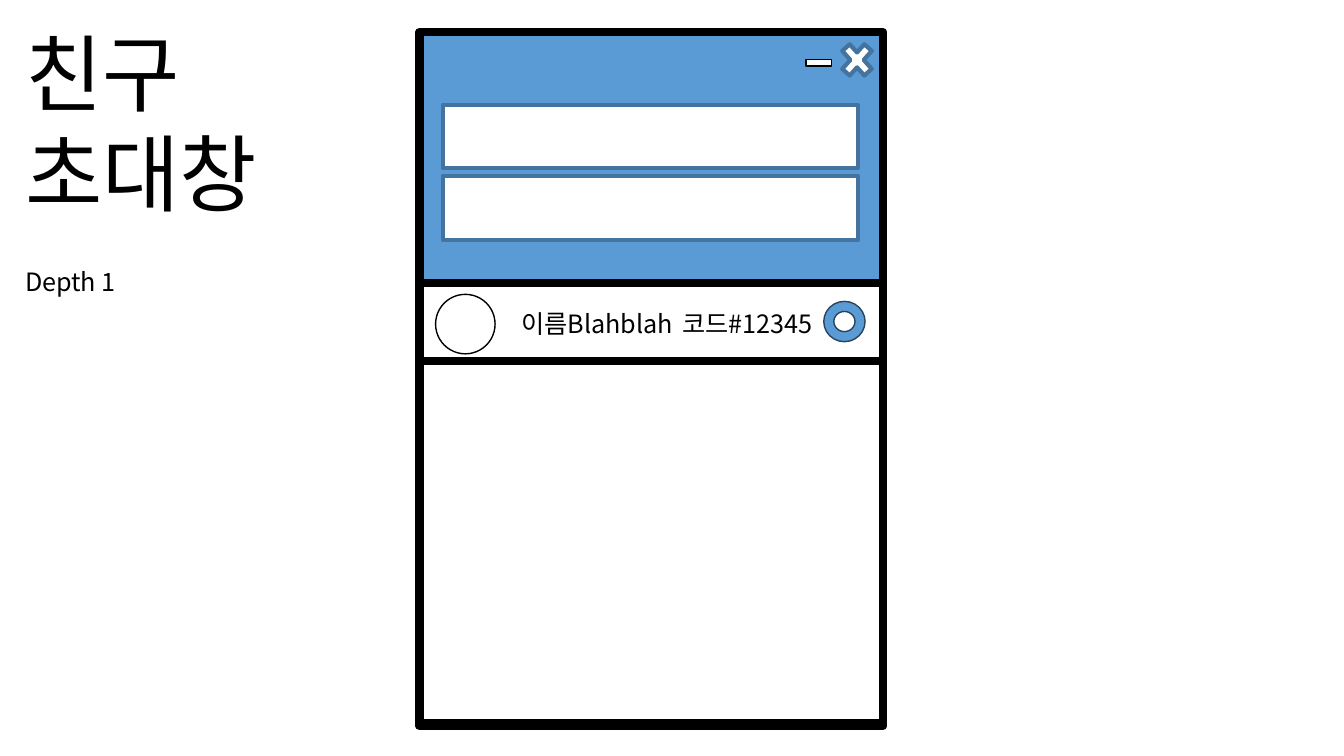
from pptx import Presentation
from pptx import util as u
from pptx.dml.color import RGBColor
from pptx.enum import shapes, text

COLORS = {"window": "5B9BD5", "paper": "FFFFFF", "ink": "000000",
          "field_edge": "43739E", "donut_edge": "28445D"}
FONT = "Noto Sans CJK KR"
KIND = shapes.MSO_SHAPE

presentation = Presentation()
presentation.slide_width, presentation.slide_height = u.Inches(13.33), u.Inches(7.5)
slide = presentation.slides.add_slide(presentation.slide_layouts[5])


def add_part(kind, left, top, width, height, fill="paper", line="ink", weight=1):
    shape = slide.shapes.add_shape(kind, *map(u.Inches, (left, top, width, height)))
    shape.shadow.inherit = False
    shape.fill.solid()
    shape.fill.fore_color.rgb = RGBColor.from_string(COLORS[fill])
    shape.line.color.rgb = RGBColor.from_string(COLORS[line])
    shape.line.width = u.Pt(weight)


def write(content, left, top, width, height, size=18, shape=None):
    box = [u.Inches(length) for length in (left, top, width, height)]
    shape = shape or slide.shapes.add_textbox(*box)
    shape.left, shape.top, shape.width, shape.height = box
    frame = shape.text_frame
    frame.text = content
    frame.word_wrap = True
    frame.auto_size = text.MSO_AUTO_SIZE.NONE
    frame.vertical_anchor = text.MSO_ANCHOR.TOP
    for paragraph in frame.paragraphs:
        paragraph.alignment = text.PP_ALIGN.LEFT
        font = paragraph.runs[0].font
        font.name, font.size = FONT, u.Pt(size)
        font.color.rgb = RGBColor.from_string(COLORS["ink"])


# Title and depth label
margin = 0.15
write("친구\n초대창", margin, 0.16, 3.82, 2.12, size=60, shape=slide.shapes.title)
write("Depth 1", margin, 2.59, 2.96, 0.4)

# Window, friend list and its first row
window_left, window_width, list_top = 4.16, 4.6, 2.81
for top, height, fill in ((0.32, 6.88, "window"), (list_top, 4.37, "paper"),
                          (list_top, 0.77, "paper")):
    add_part(KIND.RECTANGLE, window_left, top, window_width, height, fill, weight=6)

# Window buttons
add_part(KIND.MATH_MINUS, 7.95, 0.49, 0.34, 0.27)
add_part(KIND.MATH_MULTIPLY, 8.29, 0.36, 0.42, 0.47, line="field_edge", weight=3)

# Two input fields
for row in range(2):
    add_part(KIND.RECTANGLE, 4.39, 1.04 + row * 0.71, 4.12, 0.63,
             line="field_edge", weight=3)

# Friend row: portrait, name, code and selector
add_part(KIND.OVAL, 4.32, 2.92, 0.59, 0.59)
for column, label in enumerate(("이름Blahblah", "코드#12345")):
    write(label, 5.07 + column * 1.6, 3.01, 1.98, 0.4)
add_part(KIND.DONUT, 8.17, 2.99, 0.41, 0.4, "window", "donut_edge")

presentation.save("out.pptx")
